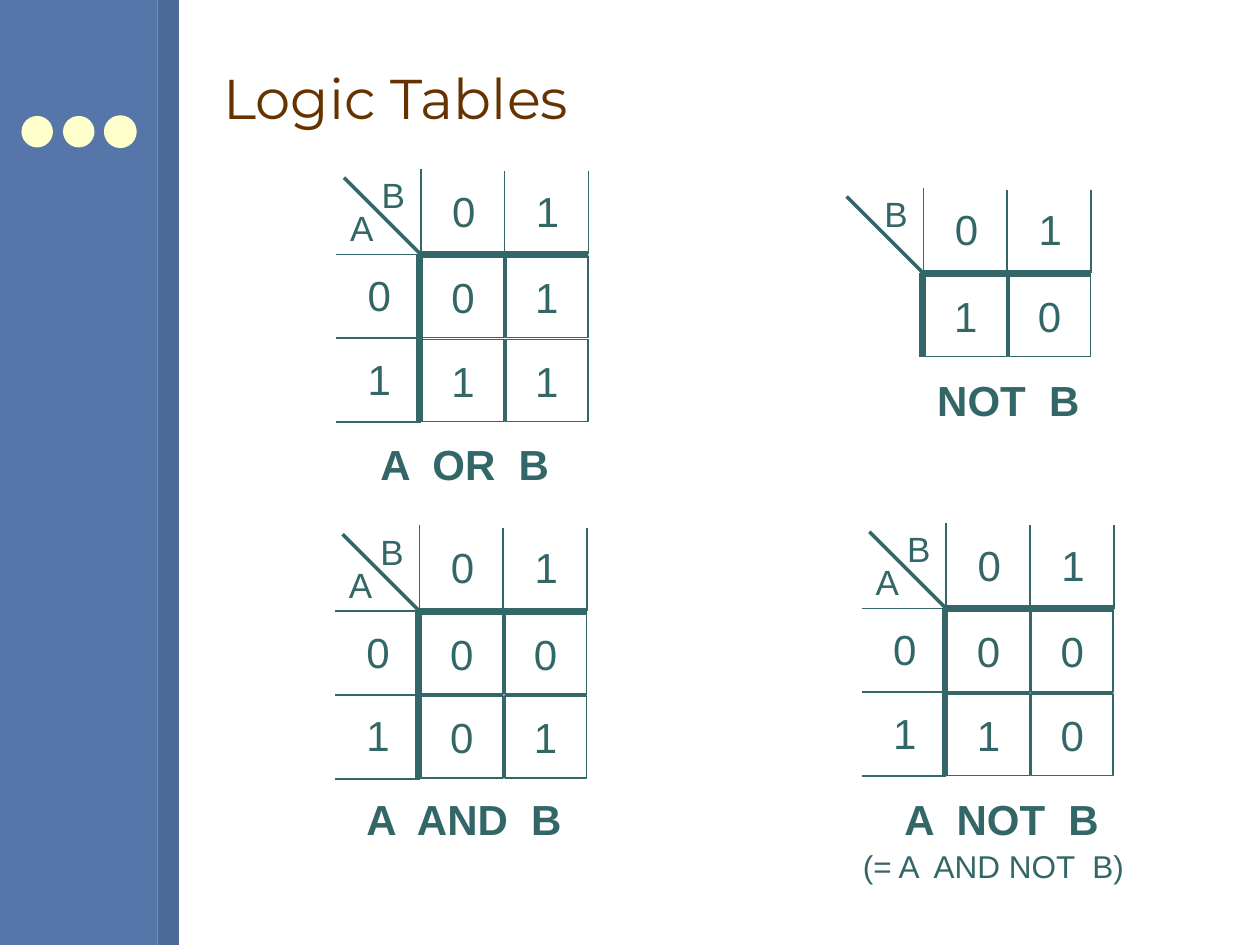
from lxml import etree
from pptx import Presentation
from pptx import util as u
from pptx.dml.color import RGBColor
from pptx.enum import shapes, text
from pptx.oxml.ns import qn

INK = "336666"
CREAM = "FFFFCC"
PITCH = 0.665
CELL = 0.65


def color(value):
    return RGBColor.from_string(value)


class SlideBuilder:
    font_name = "Arial"

    def __init__(self, page):
        self.page = page
        self.target = page.shapes

    def start_group(self):
        self.target = self.page.shapes.add_group_shape().shapes

    def end_group(self):
        self.target = self.page.shapes

    def set_words(self, box, words, size, **changes):
        """Fill a shape with one formatted paragraph."""
        look = {"wrap": False, "anchor": text.MSO_ANCHOR.TOP, "align": text.PP_ALIGN.LEFT,
                "name": self.font_name, "bold": False, "color": INK} | changes
        frame = box.text_frame
        frame.word_wrap = look["wrap"]
        frame.vertical_anchor = look["anchor"]
        para = frame.paragraphs[0]
        para.alignment = look["align"]
        span = para.add_run()
        span.text = words
        for name, value in {"name": look["name"], "size": u.Pt(size), "bold": look["bold"]}.items():
            setattr(span.font, name, value)
        span.font.color.rgb = color(look["color"])

    def title(self, words, left, top, width, height):
        box = self.page.shapes.title
        for name, value in {"left": left, "top": top, "width": width, "height": height}.items():
            setattr(box, name, u.Inches(value))
        self.set_words(box, words, 32, name="Montserrat", color="663300", wrap=True,
                       anchor=text.MSO_ANCHOR.MIDDLE)

    def label(self, words, left, top, width=0.38, height=0.5, size=24, **changes):
        box = self.target.add_textbox(*map(u.Inches, (left, top, width, height)))
        self.set_words(box, words, size, **changes)
        box.text_frame.auto_size = text.MSO_AUTO_SIZE.SHAPE_TO_FIT_TEXT

    def shape(self, kind, left, top, width, height, fill=None, line=None, weight=1):
        shape = self.target.add_shape(kind, *map(u.Inches, (left, top, width, height)))
        shape.shadow.inherit = False
        if fill:
            shape.fill.solid()
            shape.fill.fore_color.rgb = color(fill)
        else:
            shape.fill.background()
        if line:
            shape.line.color.rgb = color(line)
            shape.line.width = u.Pt(weight)
        else:
            shape.line.fill.background()
        return shape

    def cell(self, words, left, top):
        box = self.shape(shapes.MSO_SHAPE.RECTANGLE, left, top, CELL, CELL, line=INK)
        self.set_words(box, words, 24, anchor=text.MSO_ANCHOR.MIDDLE, align=text.PP_ALIGN.CENTER)

    def line(self, x1, y1, x2, y2, weight=1):
        line = self.target.add_connector(shapes.MSO_CONNECTOR.STRAIGHT,
                                         *map(u.Inches, (x1, y1, x2, y2)))
        line.line.color.rgb = color(INK)
        line.line.width = u.Pt(weight)
        etree.SubElement(line._element.spPr, qn("a:effectLst"))

    def logic_table(self, x, y, rows, row_heads=True):
        """Draw a truth table whose header rules cross at (x, y)."""
        self.start_group()
        for i, row in enumerate(rows):
            for j, value in enumerate(row):
                self.cell(value, x + 0.01 + j * PITCH, y + 0.01 + i * PITCH)
        bottom = y + len(rows) * PITCH
        self.line(x - 0.02, y, x + 2 * PITCH, y, 4)
        self.line(x - 0.01, y, x - 0.01, bottom, 4)
        for j in range(3):
            self.line(x + j * PITCH, y - (0.66 if j else 0.68), x + j * PITCH, y)
        for j, head in enumerate("01"):
            self.label(head, x + 0.15 + j * PITCH, y - 0.6)
        self.line(x, y, x - 0.61, y - 0.61, 2)
        self.label("B", x - 0.41, y - 0.69, height=0.43, size=20)
        if row_heads:
            self.label("A", x - 0.66, y - 0.43, height=0.43, size=20)
            for i in range(3):
                self.line(x, y + i * PITCH, x - 0.67, y + i * PITCH)
            for i, head in enumerate("01"):
                self.label(head, x - 0.52, y + 0.07 + i * PITCH)
        self.end_group()


def main():
    deck = Presentation()
    deck.slide_width, deck.slide_height = u.Inches(10), u.Inches(7.5)
    build = SlideBuilder(deck.slides.add_slide(deck.slide_layouts[5]))

    build.shape(shapes.MSO_SHAPE.RECTANGLE, 0, 0, 1.25, 7.5, "5675A9")
    build.shape(shapes.MSO_SHAPE.RECTANGLE, 1.25, 0, 0.17, 7.5, "4D6997")
    for left, outline in ((0.17, None), (0.5, None), (0.83, CREAM)):
        build.shape(shapes.MSO_SHAPE.OVAL, left, 0.92, 0.25, 0.25, CREAM, outline, 0.75)
    build.title("Logic Tables", 1.67, 0.21, 8, 1.13)

    build.logic_table(3.34, 2.02, ("01", "11"))
    build.logic_table(3.33, 4.85, ("00", "01"))
    build.logic_table(7.51, 4.83, ("00", "10"))
    build.logic_table(7.33, 2.17, ("10",), row_heads=False)

    for words, left, top, width in (("A  OR  B", 2.92, 3.43, 1.55),
                                    ("A  AND  B", 2.81, 6.25, 1.77),
                                    ("A  NOT  B", 7.08, 6.25, 1.75),
                                    ("NOT  B", 7.34, 2.92, 1.33)):
        build.label(words, left, top, width, bold=True)
    build.label("(= A  AND NOT  B)", 6.75, 6.67, 2.5, 0.4, 18, wrap=True)
    deck.save("out.pptx")


if __name__ == "__main__":
    main()
